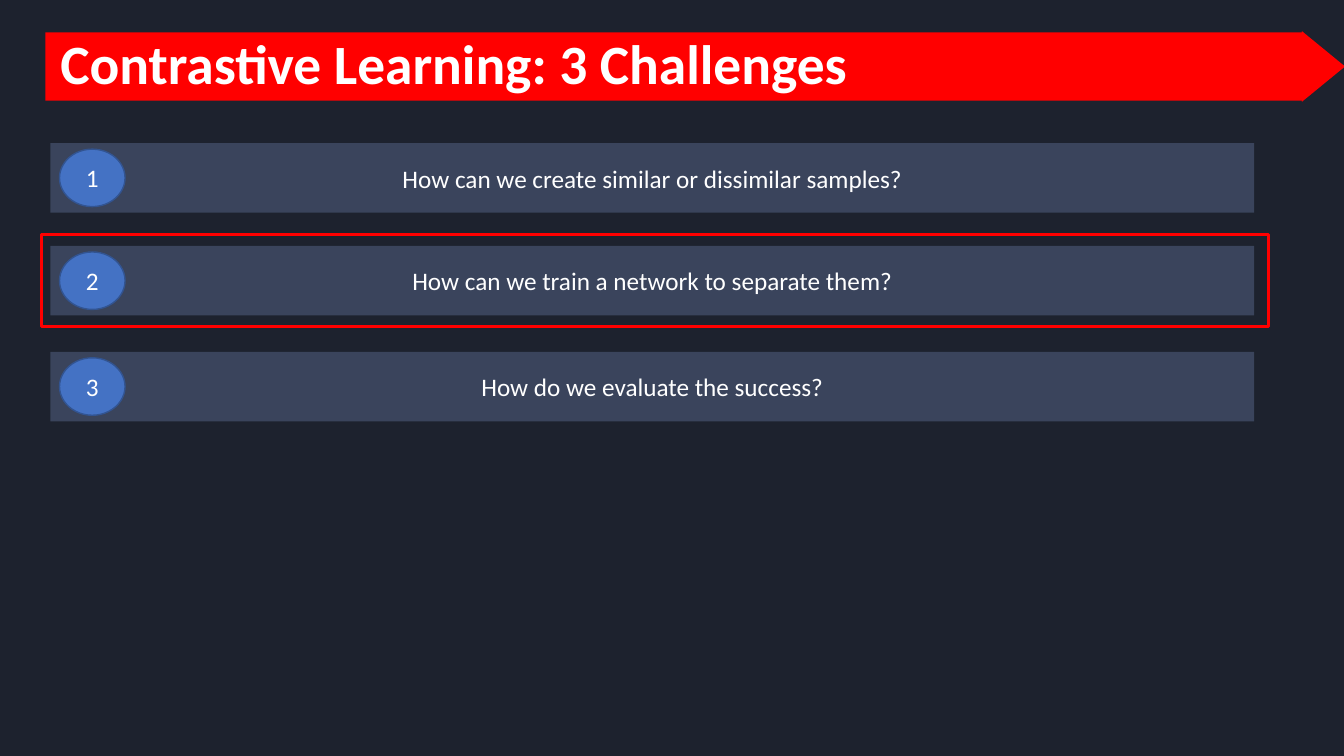
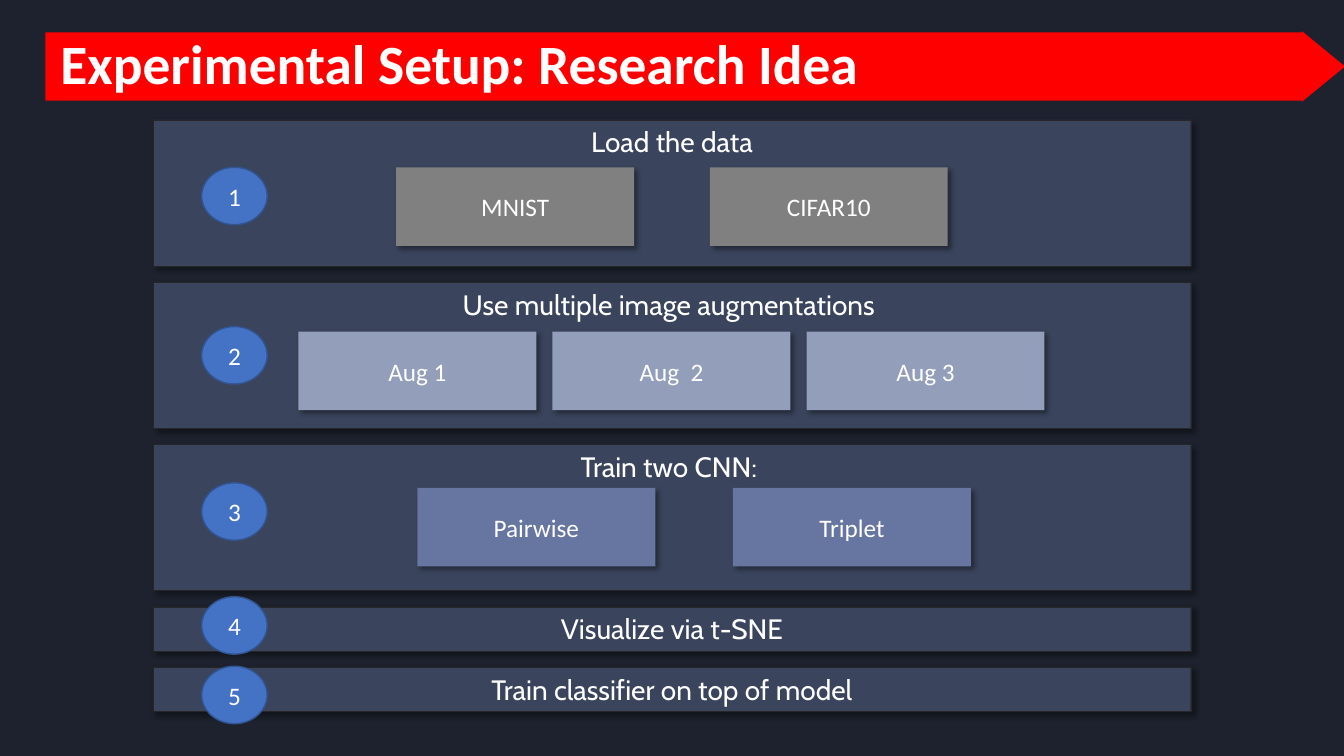
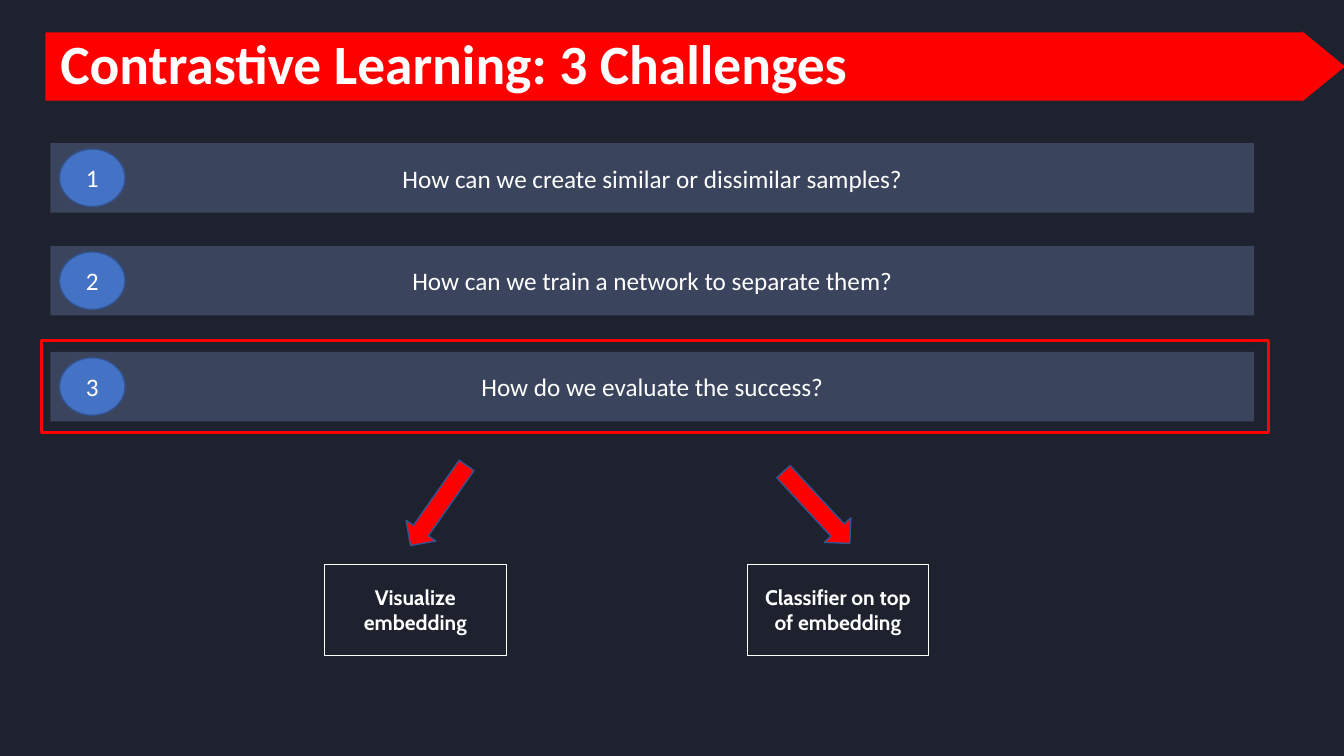
from lxml.etree import SubElement
from pptx import Presentation
from pptx.dml.color import RGBColor
from pptx.enum.shapes import MSO_SHAPE
from pptx.enum.text import MSO_ANCHOR, PP_ALIGN
from pptx.oxml.ns import qn
from pptx.util import Inches, Pt

COLORS = {
    "background": "1D222E",
    "accent": "FF0000",
    "panel": "3A445C",
    "panel_line": "262626",
    "badge": "4472C4",
    "badge_line": "325491",
    "data": "808080",
    "augmentation": "939EBB",
    "network": "6776A1",
    "text": "FFFFFF",
    "shadow": "000000",
}


def add_text(sp, text, size=18, font="Calibri", bold=False,
             align=PP_ALIGN.CENTER, anchor=MSO_ANCHOR.MIDDLE):
    tf = sp.text_frame
    tf.word_wrap = True
    tf.vertical_anchor = anchor
    p = tf.paragraphs[0]
    p.alignment = align
    r = p.add_run()
    r.text = text
    r.font.size = Pt(size)
    r.font.name = font
    r.font.bold = bold
    r.font.color.rgb = RGBColor.from_string(COLORS["text"])
    return p


def add_box(s, kind, x, y, w, h, fill=None, line=None, width=1, shadow=False):
    sp = s.shapes.add_shape(kind, Inches(x), Inches(y), Inches(w), Inches(h))
    sp.shadow.inherit = False
    if fill:
        sp.fill.solid()
        sp.fill.fore_color.rgb = RGBColor.from_string(COLORS[fill])
    else:
        sp.fill.background()
    if line:
        sp.line.color.rgb = RGBColor.from_string(COLORS[line])
        sp.line.width = Pt(width)
    else:
        sp.line.fill.background()
    if shadow:
        effects = sp._element.spPr.find(qn("a:effectLst"))
        outer = SubElement(effects, qn("a:outerShdw"), blurRad=str(Pt(4)),
                           dist=str(Pt(3)), dir="2700000", algn="tl", rotWithShape="0")
        color = SubElement(outer, qn("a:srgbClr"), val=COLORS["shadow"])
        SubElement(color, qn("a:alpha"), val="40000")
    return sp


prs = Presentation()
prs.slide_width = Inches(13.33)
prs.slide_height = Inches(7.5)
bg = prs.slide_master.background.fill
bg.solid()
bg.fore_color.rgb = RGBColor.from_string(COLORS["background"])

titles = [
    "Contrastive Learning: 3 Challenges",
    "Experimental Setup: Research Idea",
    "Contrastive Learning: 3 Challenges",
]
slides = []
for title in titles:
    s = prs.slides.add_slide(prs.slide_layouts[6])
    banner = add_box(s, MSO_SHAPE.RIGHT_ARROW, 0.45, 0.31, 12.89, 0.7, "accent")
    banner.adjustments[0] = 0.967
    banner.adjustments[1] = 0.61
    tb = s.shapes.add_textbox(Inches(0.5), Inches(0.31), Inches(12.39), Inches(0.7))
    p = add_text(tb, title, 39.6, bold=True, align=PP_ALIGN.LEFT)
    p.line_spacing = 0.9
    slides.append(s)
first_challenges, setup, last_challenges = slides

challenges = [
    (1.42, "How can we create similar or dissimilar samples?"),
    (2.44, "How can we train a network to separate them?"),
    (3.49, "How do we evaluate the success?"),
]
for s, focus in [(first_challenges, 2), (last_challenges, 3)]:
    for number, (top, question) in enumerate(challenges, 1):
        sp = add_box(s, MSO_SHAPE.RECTANGLE, 0.5, top, 11.94, 0.69, "panel")
        add_text(sp, question)
        sp = add_box(s, MSO_SHAPE.OVAL, 0.59, top + 0.06, 0.65, 0.57, "badge", "badge_line")
        add_text(sp, str(number))
        if number == focus:
            add_box(s, MSO_SHAPE.RECTANGLE, 0.41, top - 0.11, 12.17, 0.91,
                    line="accent", width=2.25)

steps = [
    ("Load the data", 1.45, 1.66, "data", 3.93, 3.11, 1.66, ["MNIST", "CIFAR10"]),
    ("Use multiple image augmentations ", 1.45, 3.24, "augmentation", 2.96, 2.52, 3.29,
     ["Aug 1", "Aug  2", "Aug 3"]),
    ("Train two CNN: ", 1.45, 4.79, "network", 4.14, 3.13, 4.84, ["Pairwise", "Triplet"]),
    ("Visualize via t-SNE", 0.44, 5.92, None, 0, 0, 0, []),
    ("Train classifier on top of model", 0.44, 6.61, None, 0, 0, 0, []),
]
gap = 0.16
top = 1.19
for number, (heading, height, badge_top, fill, left, pitch, item_top, items) in enumerate(steps, 1):
    sp = add_box(setup, MSO_SHAPE.RECTANGLE, 1.52, top, 10.29, height,
                 "panel", "panel_line", 0.25, shadow=True)
    add_text(sp, heading, 20, "Cabin", anchor=MSO_ANCHOR.TOP)
    for i, item in enumerate(items):
        sp = add_box(setup, MSO_SHAPE.RECTANGLE, left + i * pitch, item_top, 2.36, 0.78,
                     fill, shadow=True)
        add_text(sp, item)
    sp = add_box(setup, MSO_SHAPE.OVAL, 2, badge_top, 0.65, 0.57, "badge", "badge_line")
    add_text(sp, str(number))
    top += height + gap

evaluations = [
    ("Visualize embedding", 3.22, 4.17, 4.53, 35),
    ("Classifier on top of embedding", 7.41, 7.92, 4.55, 317.2),
]
for label, left, arrow_left, arrow_top, angle in evaluations:
    arrow = add_box(last_challenges, MSO_SHAPE.DOWN_ARROW, arrow_left, arrow_top, 0.36, 0.97,
                    "accent", "badge_line")
    arrow.rotation = angle
    sp = add_box(last_challenges, MSO_SHAPE.RECTANGLE, left, 5.6, 1.8, 0.9,
                 line="text", width=0.75)
    add_text(sp, label, 15, "Cabin", bold=True)

prs.save("out.pptx")
